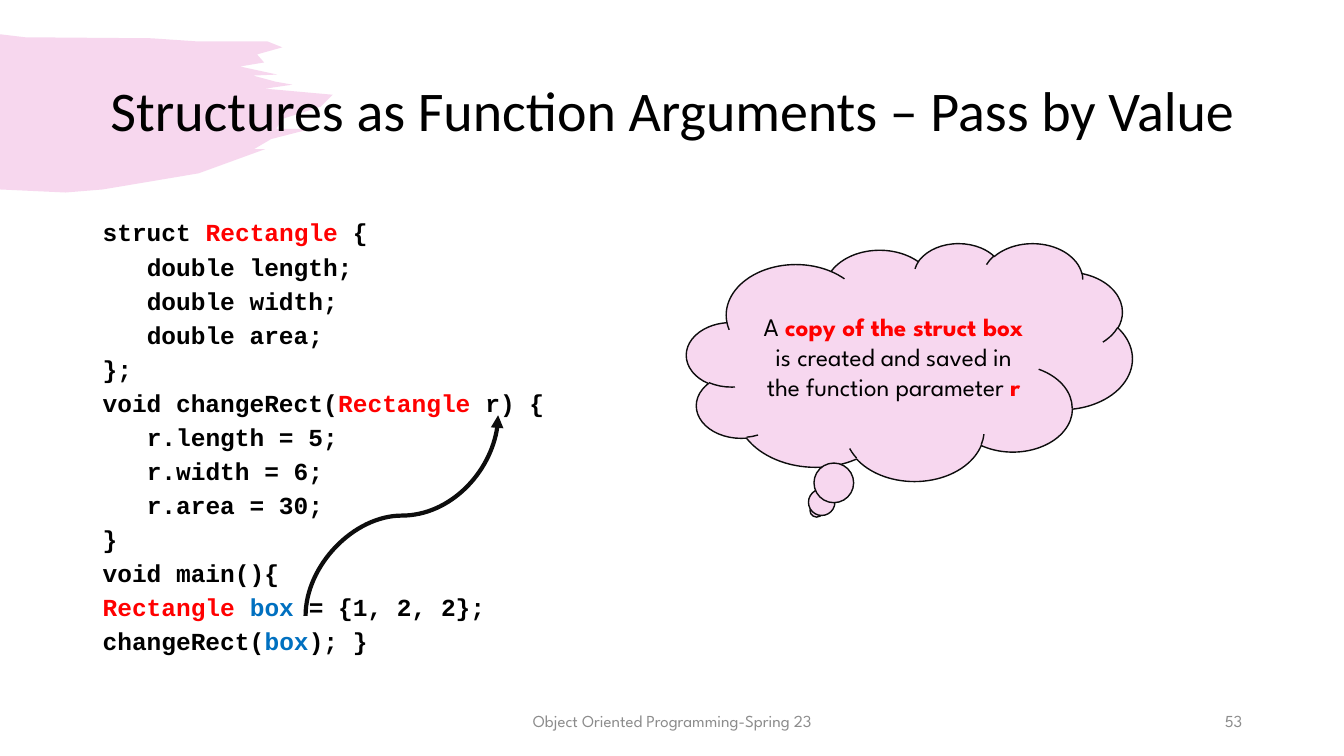
from lxml.etree import SubElement
from pptx import Presentation
from pptx.dml.color import RGBColor
from pptx.enum.shapes import MSO_CONNECTOR as Connector, MSO_SHAPE as Shape
from pptx.enum.text import MSO_ANCHOR as Anchor, PP_ALIGN as Align
from pptx.oxml.ns import qn
from pptx.util import Inches, Pt

BLACK = RGBColor(0x00, 0x00, 0x00)
INK = RGBColor(0x0D, 0x0D, 0x0D)
RED = RGBColor(0xFF, 0x00, 0x00)
BLUE = RGBColor(0x00, 0x70, 0xC0)
GREY = RGBColor(0x8C, 0x8C, 0x8C)
MAGENTA = RGBColor(0xD7, 0x39, 0xAE)
PINK = RGBColor(0xF7, 0xD7, 0xEF)
SPARTAN = "League Spartan"

TITLE = "Structures as Function Arguments – Pass by Value"
FOOTER = "Object Oriented Programming-Spring 23"
PAGE = "53"
CODE = [
    (0, [("struct ", BLACK), ("Rectangle", RED), (" {", BLACK)]),
    (3, [("double length;", BLACK)]),
    (3, [("double width;", BLACK)]),
    (3, [("double area;", BLACK)]),
    (0, [("};", BLACK)]),
    (0, [("void changeRect(", BLACK), ("Rectangle", RED), (" r) {", BLACK)]),
    (3, [("r.length = 5;", BLACK)]),
    (3, [("r.width = 6;", BLACK)]),
    (3, [("r.area = 30;", BLACK)]),
    (0, [("}", BLACK)]),
    (0, [("void main(){", BLACK)]),
    (0, [("Rectangle ", RED), ("box ", BLUE), ("= {1, 2, 2};", BLACK)]),
    (0, [("changeRect(", BLACK), ("box", BLUE), ("); }", BLACK)]),
]
THOUGHT = [
    ("A ", BLACK),
    ("copy of the struct box ", RED),
    ("is created and saved in the function parameter ", BLACK),
    ("r", RED),
]
BRUSH = [
    (0, 0.34), (0.25, 0.37), (1.5, 0.38), (1.94, 0.41), (2.65, 0.41), (2.8, 0.47),
    (2.55, 0.54), (2.62, 0.62), (2.38, 0.66), (2.75, 0.74), (2.51, 0.75),
    (2.73, 0.81), (2.9, 0.84), (2.63, 0.88), (3.3, 0.94), (3.18, 1.06),
    (2.8, 1.18), (2.74, 1.28), (3.08, 1.28), (2.69, 1.38), (2.52, 1.48),
    (2.63, 1.48), (1.97, 1.72), (1.02, 1.88), (0.65, 1.91), (0, 1.88),
]

MARGIN, CONTENT_WIDTH = 0.92, 11.5
FOOTER_TOP, FOOTER_HEIGHT = 6.95, 0.4
PAGE_WIDTH, FOOTER_WIDTH = 3, 4.5
CODE_SIZE = 17.5
CODE_CHAR_WIDTH = 0.6 * CODE_SIZE

deck = Presentation()
deck.slide_width, deck.slide_height = Inches(13.33), Inches(7.5)
slide = deck.slides.add_slide(deck.slide_layouts[6])
shapes = slide.shapes


def add_runs(paragraph, runs, font, size, bold_colors=()):
    for words, color in runs:
        run = paragraph.add_run()
        run.text = words
        run.font.name, run.font.size = font, Pt(size)
        run.font.color.rgb = color
        run.font.bold = color in bold_colors


def add_frame(left, top, width, height, anchor):
    frame = shapes.add_textbox(*map(Inches, (left, top, width, height))).text_frame
    frame.word_wrap = True
    frame.vertical_anchor = anchor
    return frame


def add_line(box, words, font, size, color, align):
    paragraph = add_frame(*box, Anchor.MIDDLE).paragraphs[0]
    paragraph.alignment = align
    add_runs(paragraph, [(words, color)], font, size)
    return paragraph


def paint(part, color):
    part.shadow.inherit = False
    part.fill.solid()
    part.fill.fore_color.rgb = color


brush_start, *brush_edge = [tuple(map(Inches, point)) for point in BRUSH]
outline = shapes.build_freeform(*brush_start)
outline.add_line_segments(brush_edge)
brush = outline.convert_to_shape()
paint(brush, MAGENTA)
brush.line.fill.background()
brush_color = next(brush.element.spPr.iter(qn("a:srgbClr")))
SubElement(brush_color, qn("a:alpha"), val="20000")

title = add_line((MARGIN, 0.4, CONTENT_WIDTH, 1.45), TITLE, "Calibri", 40, BLACK, Align.CENTER)
title.line_spacing = 0.9

code_frame = add_frame(MARGIN, 2.2, CONTENT_WIDTH, 4.55, Anchor.TOP)
for row, (indent, runs) in enumerate(CODE):
    paragraph = code_frame.add_paragraph() if row else code_frame.paragraphs[0]
    paragraph.line_spacing = 0.65
    paragraph.space_before = Pt(10.7)
    add_runs(paragraph, runs, "Courier New", CODE_SIZE, (BLACK, RED, BLUE))
    if indent:
        paragraph._p.get_or_add_pPr().set("marL", str(Pt(indent * CODE_CHAR_WIDTH)))

add_line(
    (MARGIN + (CONTENT_WIDTH - FOOTER_WIDTH) / 2, FOOTER_TOP, FOOTER_WIDTH, FOOTER_HEIGHT),
    FOOTER, SPARTAN, 12, GREY, Align.CENTER,
)
add_line(
    (MARGIN + CONTENT_WIDTH - PAGE_WIDTH, FOOTER_TOP, PAGE_WIDTH, FOOTER_HEIGHT),
    PAGE, SPARTAN, 12, GREY, Align.RIGHT,
)

arrow = shapes.add_connector(Connector.CURVE, *map(Inches, (4.98, 6.07, 2.99, 4.16)))
arrow.line.color.rgb = INK
arrow.line.width = Pt(3)
arrow_properties = arrow.element.spPr
arrow_properties.find(qn("a:xfrm")).set("rot", str(90 * 60000))
SubElement(arrow_properties.find(qn("a:ln")), qn("a:tailEnd"), type="triangle")
SubElement(arrow_properties, qn("a:effectLst"))

cloud = shapes.add_shape(Shape.CLOUD_CALLOUT, *map(Inches, (6.81, 2.41, 4.42, 2.36)))
paint(cloud, PINK)
cloud.line.color.rgb = INK
cloud.line.width = Pt(1)
cloud.text_frame.word_wrap = True
cloud.text_frame.vertical_anchor = Anchor.MIDDLE
thought = cloud.text_frame.paragraphs[0]
thought.alignment = Align.CENTER
add_runs(thought, THOUGHT, SPARTAN, 18, (RED,))

deck.save("out.pptx")
